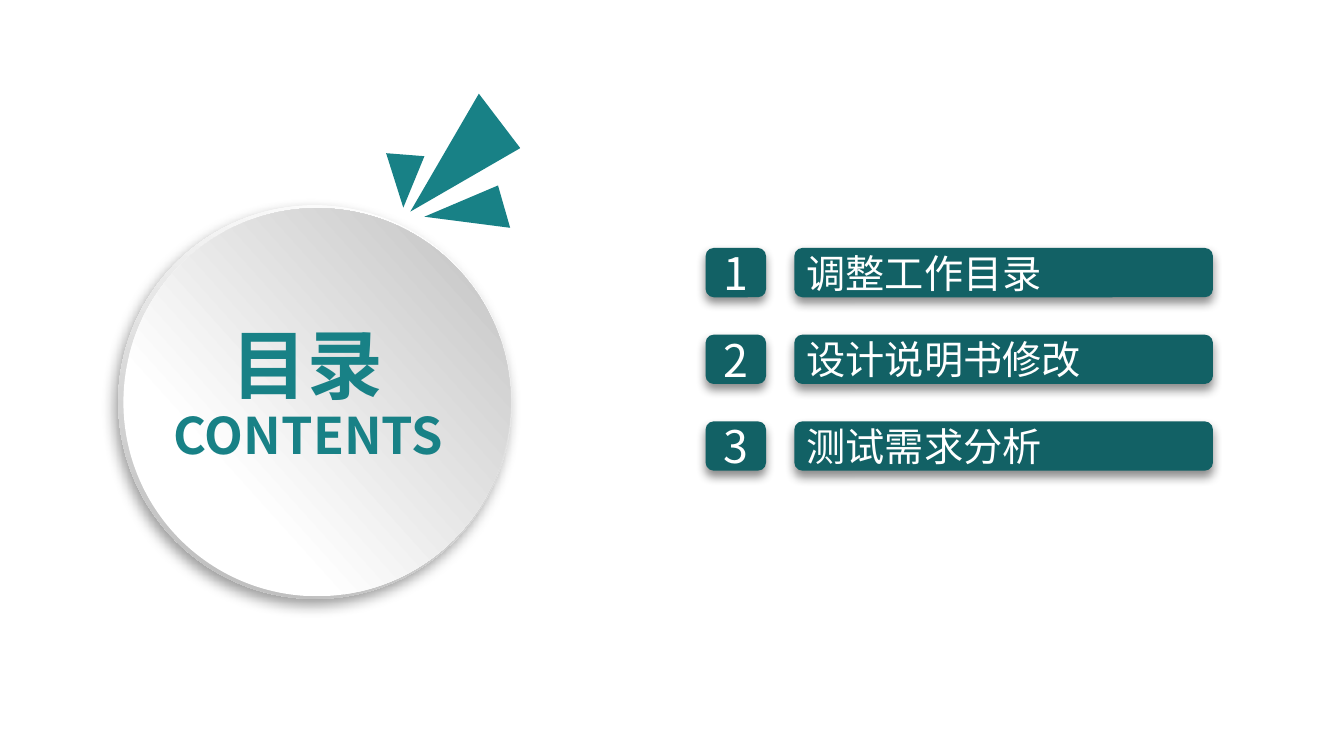
from dataclasses import dataclass

from lxml import etree
from pptx import Presentation
from pptx.dml.color import RGBColor
from pptx.enum.shapes import MSO_SHAPE
from pptx.enum.text import MSO_ANCHOR, MSO_AUTO_SIZE, PP_ALIGN
from pptx.oxml.ns import qn
from pptx.util import Inches, Pt

OVAL, ROUNDED = MSO_SHAPE.OVAL, MSO_SHAPE.ROUNDED_RECTANGLE
LEFT, CENTER = PP_ALIGN.LEFT, PP_ALIGN.CENTER
TOP, MIDDLE = MSO_ANCHOR.TOP, MSO_ANCHOR.MIDDLE
NO_AUTOFIT = MSO_AUTO_SIZE.NONE
TITLE_ONLY = 5


@dataclass(frozen=True)
class Theme:
    """Colours, font and type sizes of the slide."""
    font: str = "Noto Sans CJK SC"
    accent: str = "188186"
    bar: str = "126165"
    light: str = "FFFFFF"
    rim_grey: str = "B8B8B8"
    disc_grey: str = "BFBFBF"
    shadow: str = "000000"
    title: int = 54
    subtitle: int = 36
    number: int = 32
    item: int = 28


def write(shape, text, *, size, color, font, bold=False, align=LEFT, anchor=MIDDLE, wrap=True):
    """Put one formatted paragraph into a shape."""
    frame = shape.text_frame
    frame.text = text
    frame.word_wrap = wrap
    frame.auto_size = NO_AUTOFIT
    frame.vertical_anchor = anchor
    paragraph = frame.paragraphs[0]
    paragraph.alignment = align
    run = paragraph.runs[0]
    run.font.size = Pt(size)
    run.font.bold = bold
    run.font.name = font
    run.font.color.rgb = RGBColor.from_string(color)
    east_asian = etree.SubElement(run.font._element, qn("a:ea"))
    east_asian.set("typeface", font)


class SlideBuilder:
    """Holds the theme and the slide; lengths are percent of the slide's size."""

    def __init__(self, presentation, theme):
        """Add a title-only slide to the presentation."""
        self.theme = theme
        self.width = presentation.slide_width
        self.height = presentation.slide_height
        self.slide = presentation.slides.add_slide(presentation.slide_layouts[TITLE_ONLY])

    def place(self, x, y):
        """Turn a pair of percentages into slide lengths."""
        return round(self.width * x / 100), round(self.height * y / 100)

    def plain(self, shape, color=None):
        """Remove outline and shadow, and fill with a colour if one is given."""
        shape.shadow.inherit = False
        shape.line.fill.background()
        if color:
            shape.fill.solid()
            shape.fill.fore_color.rgb = RGBColor.from_string(color)
        return shape

    def shape(self, kind, left, top, width, height, color=None):
        """Add a preset shape."""
        shape = self.slide.shapes.add_shape(kind, *self.place(left, top), *self.place(width, height))
        return self.plain(shape, color)

    def disc(self, left, top, width, height, stops, rotation):
        """Add a turned circle with a two-stop gradient."""
        disc = self.shape(OVAL, left, top, width, height)
        disc.rotation = rotation
        disc.fill.gradient()
        disc.fill.gradient_angle = 315
        for stop, (position, color) in zip(disc.fill.gradient_stops, stops):
            stop.position = position
            stop.color.rgb = RGBColor.from_string(color)
        return disc

    def shadow(self, shape, alpha, blur, distance, direction):
        """Cast an outer shadow; blur and distance in points, direction in degrees."""
        effects = shape.element.spPr.find(qn("a:effectLst"))
        outer = etree.SubElement(
            effects, qn("a:outerShdw"), blurRad=str(Pt(blur)), dist=str(Pt(distance)),
            dir=str(direction * 60000), algn="ctr", rotWithShape="0")
        color = etree.SubElement(outer, qn("a:srgbClr"), val=self.theme.shadow)
        etree.SubElement(color, qn("a:alpha"), val=str(alpha * 1000))

    def ray(self, *points):
        """Add a filled triangle through three points."""
        start, *others = [self.place(x, y) for x, y in points]
        outline = self.slide.shapes.build_freeform(*start)
        outline.add_line_segments(others, close=True)
        self.plain(outline.convert_to_shape(), self.theme.accent)

    def heading(self, shape, text, size):
        """Write a bold centred heading in the accent colour."""
        write(shape, text, size=size, color=self.theme.accent, font=self.theme.font,
              bold=True, align=CENTER, anchor=TOP)

    def title(self, text, left, top, width, height):
        """Move the title placeholder in front of the disc and fill it."""
        title = self.slide.shapes.title
        title.left, title.top = self.place(left, top)
        title.width, title.height = self.place(width, height)
        title.element.getparent().append(title.element)
        self.heading(title, text, self.theme.title)

    def subtitle(self, text, left, top, width, height):
        """Add the line under the title."""
        box = self.slide.shapes.add_textbox(*self.place(left, top), *self.place(width, height))
        self.heading(box, text, self.theme.subtitle)

    def bar(self, text, left, top, width, height, **style):
        """Add a rounded bar with a soft shadow and light text."""
        bar = self.shape(ROUNDED, left, top, width, height, self.theme.bar)
        self.shadow(bar, alpha=46, blur=7, distance=4, direction=90)
        write(bar, text, color=self.theme.light, font=self.theme.font, **style)

    def entry(self, number, text, top):
        """Add one contents entry: number badge and text bar."""
        height = 6.53
        self.bar(str(number), 52.5, top, 4.5, height,
                 size=self.theme.number, align=CENTER, wrap=False)
        self.bar(text, 59.1, top, 31.15, height, size=self.theme.item)


def main():
    """Build the contents slide and save it."""
    presentation = Presentation()
    presentation.slide_width = Inches(13.33)
    presentation.slide_height = Inches(7.5)
    theme = Theme()
    builder = SlideBuilder(presentation, theme)

    rim = builder.disc(8.78, 27.2, 29.3, 52, [(0.17, theme.light), (0.88, theme.rim_grey)], 62.3)
    builder.shadow(rim, alpha=39, blur=10, distance=5, direction=123)
    builder.disc(9.15, 27.6, 28.88, 51.2, [(0.29, theme.light), (0.98, theme.disc_grey)], 273)

    builder.ray((30.53, 28), (35.63, 12.4), (38.71, 19.6))
    builder.ray((31.58, 28.67), (37.06, 24.53), (37.96, 30.13))
    builder.ray((30.01, 27.47), (28.73, 20.27), (31.58, 20.67))

    builder.subtitle("CONTENTS", 10.73, 52.8, 24.45, 9.47)
    builder.title("目录", 10.65, 41.33, 24.45, 13.47)

    first_top, step = 32.8, 11.47
    for index, text in enumerate(["调整工作目录", "设计说明书修改", "测试需求分析"]):
        builder.entry(index + 1, text, first_top + index * step)

    presentation.save("out.pptx")


main()
